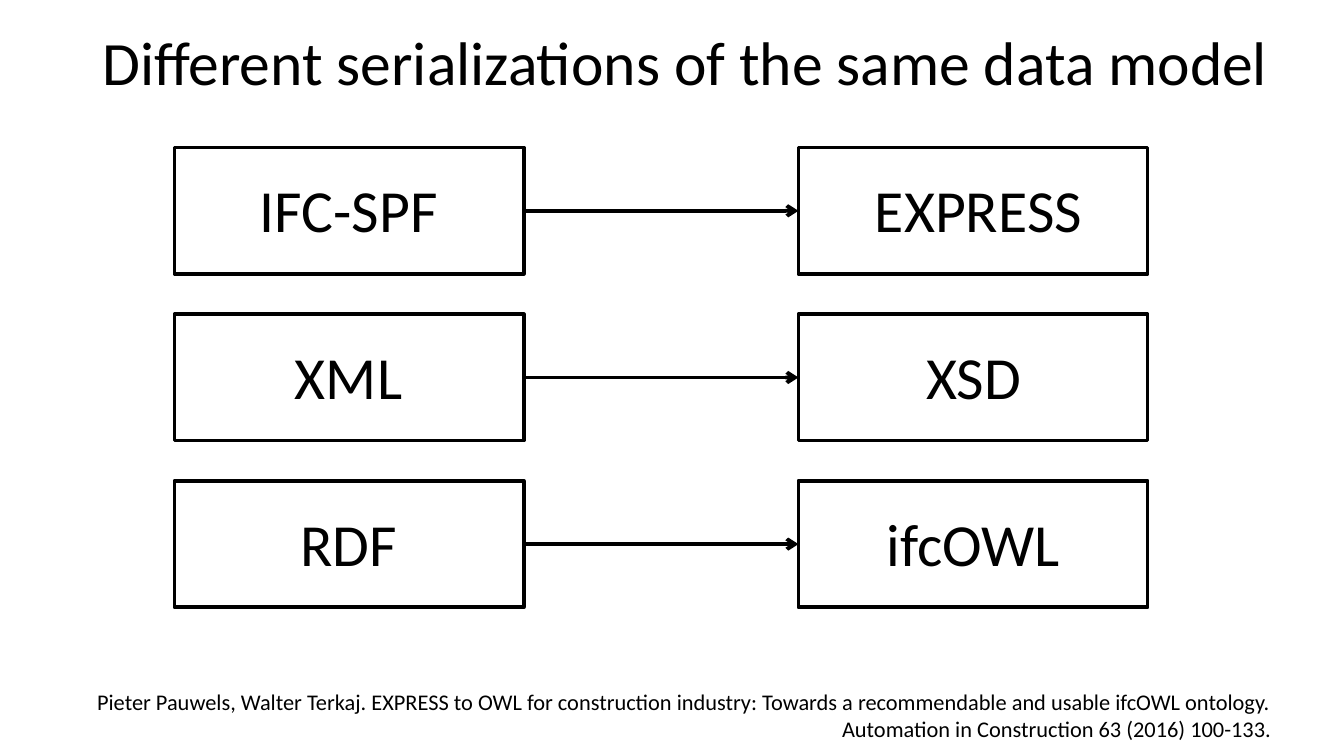
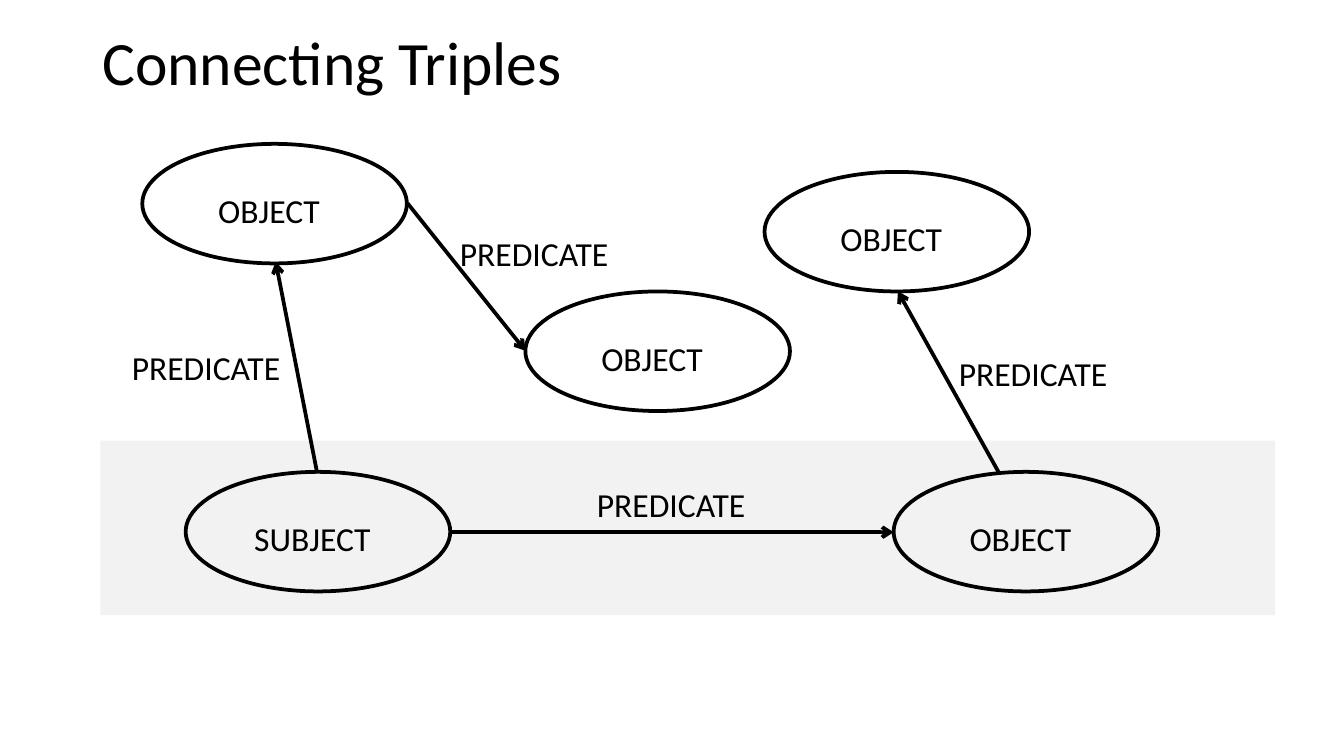
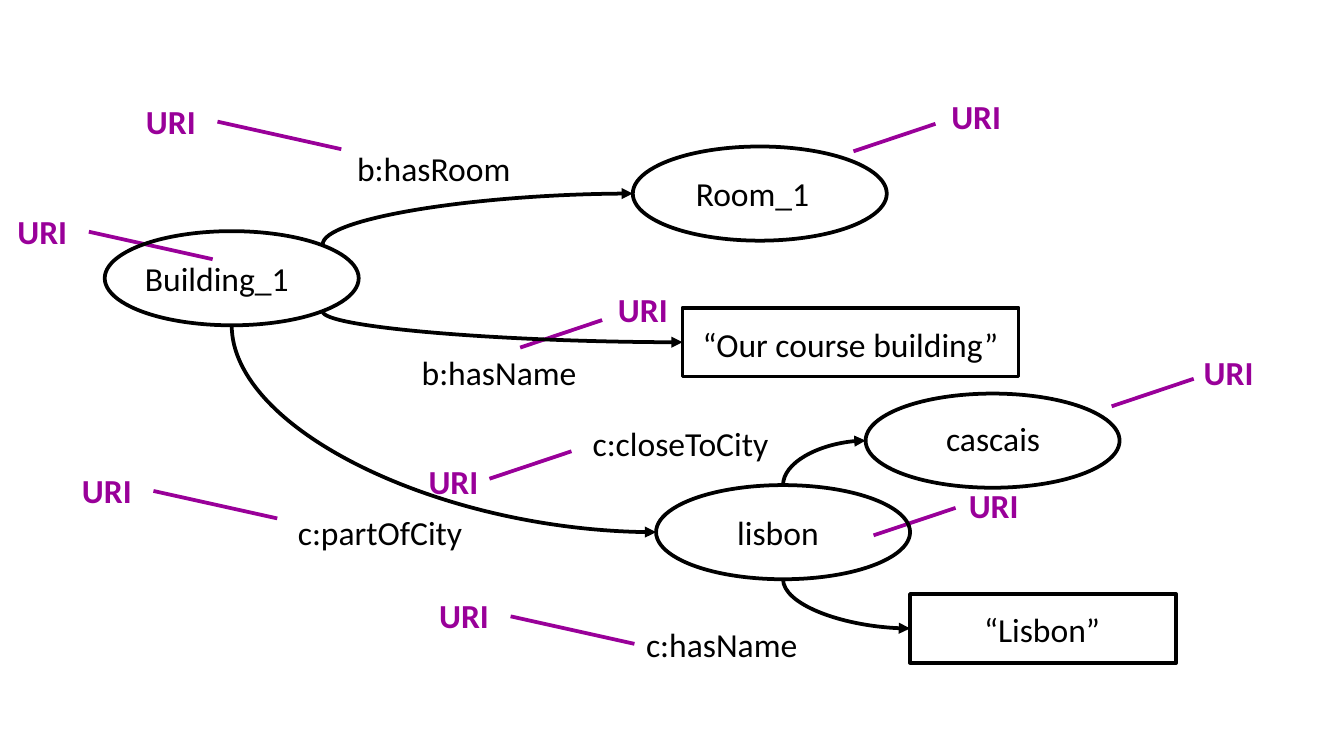
from lxml.etree import SubElement
from pptx import Presentation
from pptx.dml.color import RGBColor
from pptx.enum.shapes import MSO_CONNECTOR, MSO_SHAPE
from pptx.enum.text import MSO_ANCHOR, MSO_AUTO_SIZE, PP_ALIGN
from pptx.oxml.ns import qn
from pptx.util import Cm, Pt

FONT = "Calibri"
BLACK = RGBColor(0x00, 0x00, 0x00)
PURPLE = RGBColor(0x99, 0x00, 0x99)
LIGHT_GREY = RGBColor(0xF2, 0xF2, 0xF2)
LINE_WIDTH = Pt(2)
LEFT, CENTER, RIGHT = PP_ALIGN.LEFT, PP_ALIGN.CENTER, PP_ALIGN.RIGHT


def add_label(slide, text, left, top, width, alignment=LEFT, size=18, color=BLACK, height=1.02):
    label = slide.shapes.add_textbox(Cm(left), Cm(top), Cm(width), Cm(height))
    label.text_frame.word_wrap = True
    label.text_frame.text = text
    paragraph = label.text_frame.paragraphs[0]
    paragraph.alignment = alignment
    font = paragraph.runs[0].font
    font.name = FONT
    font.size = Pt(size)
    font.color.rgb = color
    return label


def add_line(slide, kind, begin, end, color=BLACK, head=None):
    connector = slide.shapes.add_connector(kind, *[Cm(length) for length in (*begin, *end)])
    connector.line.color.rgb = color
    connector.line.width = LINE_WIDTH
    properties = connector.element.spPr
    if head:
        SubElement(properties.find(qn("a:ln")), qn("a:tailEnd"), type=head)
    SubElement(properties, qn("a:effectLst"))
    return connector


presentation = Presentation()
presentation.slide_width = Cm(25.4)
presentation.slide_height = Cm(14.29)
title_layout, blank_layout = presentation.slide_layouts[5], presentation.slide_layouts[6]
serialization_slide = presentation.slides.add_slide(title_layout)
triple_slide = presentation.slides.add_slide(title_layout)
uri_slide = presentation.slides.add_slide(blank_layout)
outlines = []

for slide, text in [
    (serialization_slide, "Different serializations of the same data model"),
    (triple_slide, "Connecting Triples"),
]:
    title = slide.shapes.title
    title.left, title.top, title.width, title.height = Cm(1.68), Cm(-0.05), Cm(22.86), Cm(2.39)
    title.text_frame.text = text
    title.text_frame.auto_size = MSO_AUTO_SIZE.NONE
    title.text_frame.vertical_anchor = MSO_ANCHOR.MIDDLE
    paragraph = title.text_frame.paragraphs[0]
    paragraph.alignment = LEFT
    font = paragraph.runs[0].font
    font.name = FONT
    font.size = Pt(33)
    font.color.rgb = BLACK

rows = [
    ("IFC-SPF", "EXPRESS", 15.7, 5.59),
    ("XML", "XSD", 16.1, 4.6),
    ("RDF", "ifcOWL", 16.1, 4.6),
]
for row, (data_format, schema, schema_left, schema_width) in enumerate(rows):
    top = 2.79 + 3.15 * row
    format_box, schema_box = [
        serialization_slide.shapes.add_shape(
            MSO_SHAPE.RECTANGLE, Cm(left), Cm(top), Cm(6.6), Cm(2.39)
        )
        for left in (3.3, 15.09)
    ]
    outlines += [format_box, schema_box]
    add_label(serialization_slide, data_format, 4.29, top + 0.36, 4.6, CENTER, 32, height=1.63)
    add_label(serialization_slide, schema, schema_left, top + 0.36, schema_width, CENTER, 32, height=1.63)
    middle = top + 1.2
    arrow = add_line(
        serialization_slide, MSO_CONNECTOR.STRAIGHT, (9.9, middle), (15.09, middle), head="arrow"
    )
    arrow.begin_connect(format_box, 3)
    arrow.end_connect(schema_box, 1)

citation = add_label(
    serialization_slide,
    "Pieter Pauwels, Walter Terkaj. EXPRESS to OWL for construction industry: "
    "Towards a recommendable and usable ifcOWL ontology. "
    "Automation in Construction 63 (2016) 100-133.",
    0.89, 13, 23.39, RIGHT, 12, height=1.04,
)
citation.text_frame.vertical_anchor = MSO_ANCHOR.MIDDLE

band = triple_slide.shapes.add_shape(
    MSO_SHAPE.RECTANGLE, Cm(1.9), Cm(8.33), Cm(22.2), Cm(3.3)
)
band.shadow.inherit = False
band.fill.solid()
band.fill.fore_color.rgb = LIGHT_GREY
band.line.fill.background()

for text, left, top in [
    ("SUBJECT", 3.51, 8.92),
    ("OBJECT", 16.89, 8.92),
    ("OBJECT", 14.45, 3.25),
    ("OBJECT", 2.69, 2.72),
    ("OBJECT", 9.93, 5.51),
]:
    outlines.append(
        triple_slide.shapes.add_shape(MSO_SHAPE.OVAL, Cm(left), Cm(top), Cm(5), Cm(2.26))
    )
    add_label(triple_slide, text, left + 0.4, top + 0.75, 3.99, CENTER)

for begin, end, label_left, label_top in [
    ((8.51, 10.06), (16.89, 10.06), 10.69, 9.02),
    ((18.87, 8.92), (16.97, 5.51), 17.53, 6.55),
    ((5.99, 8.92), (5.21, 4.95), 1.9, 6.43),
    ((7.7, 3.84), (9.93, 6.63), 8.1, 4.27),
]:
    add_line(triple_slide, MSO_CONNECTOR.STRAIGHT, begin, end, head="arrow")
    add_label(triple_slide, "PREDICATE", label_left, label_top, 3.99, CENTER)

TO_RIGHT, TO_LEFT = (2.34, 0.52), (-1.55, 0.52)
for left, top, line_left, line_top, (run, drop) in [
    (2.51, 1.78, 4.11, 2.3, TO_RIGHT),
    (0.08, 3.86, 1.68, 4.38, TO_RIGHT),
    (1.3, 8.76, 2.9, 9.28, TO_RIGHT),
    (8.05, 11.13, 9.65, 11.65, TO_RIGHT),
    (7.85, 8.59, 10.8, 8.53, TO_LEFT),
    (11.43, 5.33, 11.38, 6.05, TO_LEFT),
    (22.5, 6.53, 22.56, 7.16, TO_LEFT),
    (18.06, 9.04, 18.06, 9.6, TO_LEFT),
    (17.73, 1.68, 17.68, 2.34, TO_LEFT),
]:
    label = add_label(uri_slide, "URI", left, top, 3.2, color=PURPLE)
    label.text_frame.paragraphs[0].runs[0].font.bold = True
    add_line(
        uri_slide, MSO_CONNECTOR.STRAIGHT,
        (line_left, line_top), (line_left + run, line_top + drop), PURPLE,
    )

nodes = {}
for name, kind, left, top, width, height in [
    ("city name", MSO_SHAPE.RECTANGLE, 17.2, 11.23, 5.03, 1.3),
    ("building name", MSO_SHAPE.RECTANGLE, 12.9, 5.82, 6.35, 1.3),
    ("room", MSO_SHAPE.OVAL, 11.96, 2.77, 4.8, 1.78),
    ("cascais", MSO_SHAPE.OVAL, 16.36, 7.44, 4.8, 1.78),
    ("lisbon", MSO_SHAPE.OVAL, 12.4, 9.17, 4.8, 1.78),
    ("building", MSO_SHAPE.OVAL, 1.98, 4.37, 4.8, 1.78),
]:
    nodes[name] = uri_slide.shapes.add_shape(kind, Cm(left), Cm(top), Cm(width), Cm(height))
outlines += nodes.values()

for text, left, top, width, alignment in [
    ("Building_1", 2.49, 4.75, 3.81, LEFT),
    ("Room_1", 12.9, 3.15, 3.81, LEFT),
    ("“Our course building”", 12.9, 5.99, 6.35, CENTER),
    ("cascais", 17.63, 7.77, 2.5, LEFT),
    ("lisbon", 12.9, 9.55, 3.61, CENTER),
    ("“Lisbon”", 17.5, 11.38, 4.39, CENTER),
    ("b:hasRoom", 6.5, 2.67, 3.81, LEFT),
    ("b:hasName", 7.72, 6.53, 3.81, LEFT),
    ("c:partOfCity", 5.38, 9.55, 3.81, LEFT),
    ("c:closeToCity", 10.95, 7.87, 4.22, LEFT),
    ("c:hasName", 11.96, 11.66, 4.22, LEFT),
]:
    add_label(uri_slide, text, left, top, width, alignment)

for source, source_site, target, target_site, begin, end in [
    ("building", 7, "room", 2, (6.1, 4.62), (11.96, 3.66)),
    ("building", 5, "building name", 1, (6.1, 5.89), (12.9, 6.47)),
    ("building", 4, "lisbon", 2, (4.38, 6.15), (12.4, 10.06)),
    ("lisbon", 0, "cascais", 2, (14.8, 9.17), (16.36, 8.33)),
    ("lisbon", 4, "city name", 1, (14.8, 10.95), (17.2, 11.88)),
]:
    center_x, center_y = (begin[0] + end[0]) / 2, (begin[1] + end[1]) / 2
    half_run, half_drop = (end[0] - begin[0]) / 2, (end[1] - begin[1]) / 2
    rising = half_drop < 0
    half_width = abs(half_drop)
    half_height = -half_run if rising else half_run
    curve = add_line(
        uri_slide, MSO_CONNECTOR.CURVE,
        (center_x + half_width, center_y - half_height),
        (center_x - half_width, center_y + half_height),
        head="triangle",
    )
    properties = curve.element.spPr
    properties.find(qn("a:xfrm")).set("rot", "5400000" if rising else "16200000")
    properties.find(qn("a:prstGeom")).set("prst", "curvedConnector2")
    links = curve.element.find(".//" + qn("p:cNvCxnSpPr"))
    SubElement(links, qn("a:stCxn"), id=str(nodes[source].shape_id), idx=str(source_site))
    SubElement(links, qn("a:endCxn"), id=str(nodes[target].shape_id), idx=str(target_site))

for shape in outlines:
    shape.shadow.inherit = False
    shape.fill.background()
    shape.line.color.rgb = BLACK
    shape.line.width = LINE_WIDTH

presentation.save("out.pptx")
